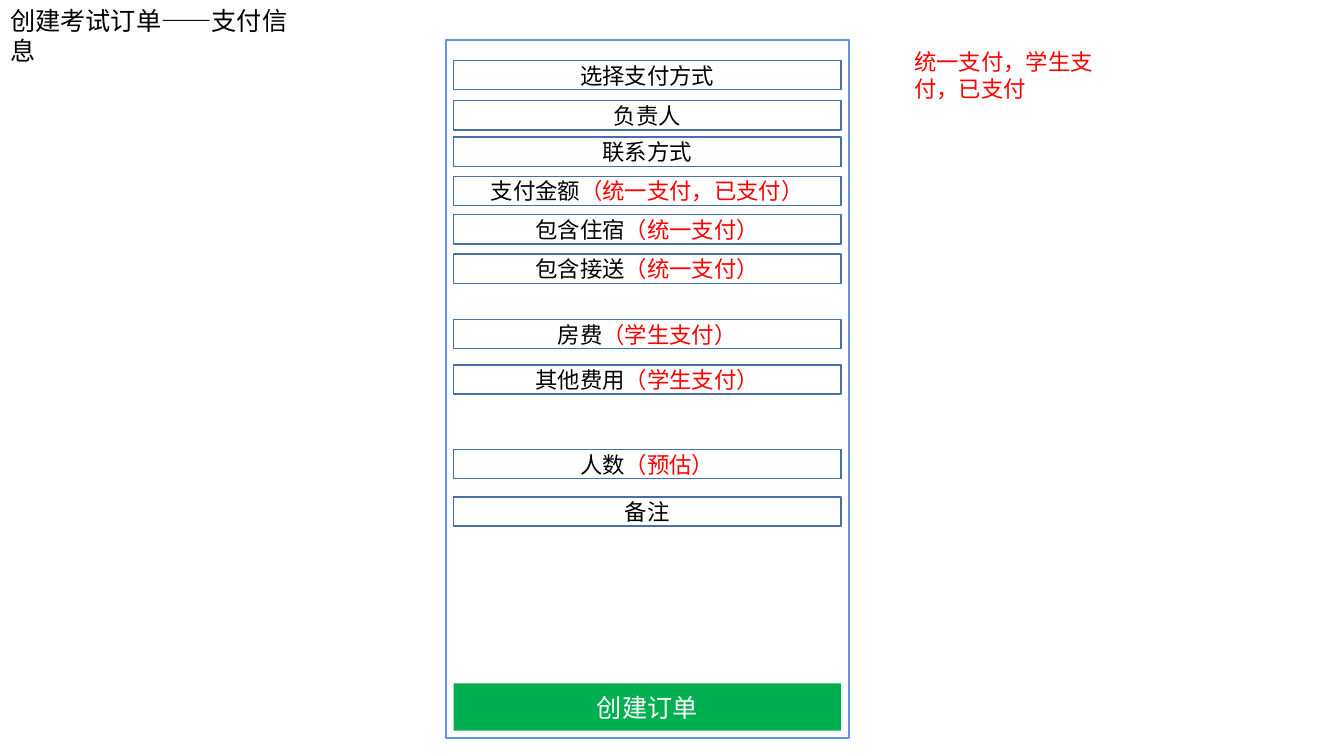
import pptx
import pptx.util
import pptx.dml.color
import pptx.enum.shapes
import pptx.enum.text

Inches = pptx.util.Inches
Pt = pptx.util.Pt
Anchor = pptx.enum.text.MSO_ANCHOR
Align = pptx.enum.text.PP_ALIGN

WIDTH, HEIGHT = 13.33, 7.5
FONT = "Arial"
BLACK, RED, WHITE, GREEN = "000000", "FF0000", "FFFFFF", "00B050"
PANEL_LINE, FIELD_LINE = "6096E6", "476FAA"

PANEL = (4.42, 0.4, 4, 6.92)
MARGIN = 0.08
FIELD_HEIGHT = 0.29
BUTTON_TOP, BUTTON_HEIGHT = 6.38, 0.47

# Distance below the panel's top, label, condition shown in red
FIELDS = [
    (0.2, "选择支付方式", ""),
    (0.6, "负责人", ""),
    (0.96, "联系方式", ""),
    (1.35, "支付金额", "（统一支付，已支付）"),
    (1.73, "包含住宿", "（统一支付）"),
    (2.12, "包含接送", "（统一支付）"),
    (2.77, "房费", "（学生支付）"),
    (3.22, "其他费用", "（学生支付）"),
    (4.06, "人数", "（预估）"),
    (4.53, "备注", ""),
]


def color(value):
    return pptx.dml.color.RGBColor.from_string(value)


def place(shape, box):
    shape.left, shape.top, shape.width, shape.height = map(Inches, box)


def write(shape, spans, size, align, anchor, wrap=True):
    """Fill one paragraph with (text, colour) spans."""
    frame = shape.text_frame
    frame.word_wrap = wrap
    frame.vertical_anchor = anchor
    para = frame.paragraphs[0]
    para.alignment = align
    for text, tint in spans:
        span = para.add_run()
        span.text = text
        span.font.name = FONT
        span.font.size = Pt(size)
        span.font.color.rgb = color(tint)


def add_rectangle(page, box, fill=None, line=None, weight=1):
    shape = page.shapes.add_shape(
        pptx.enum.shapes.MSO_SHAPE.RECTANGLE, *map(Inches, box))
    shape.shadow.inherit = False
    if fill:
        shape.fill.solid()
        shape.fill.fore_color.rgb = color(fill)
    else:
        shape.fill.background()
    if line:
        shape.line.color.rgb = color(line)
        shape.line.width = Pt(weight)
    else:
        shape.line.fill.background()
    return shape


def add_title(page, box):
    title = page.shapes.title
    place(title, box)
    write(title, [("创建考试订单——支付信息", BLACK)], 18, Align.LEFT, Anchor.TOP, wrap=False)
    title.text_frame.auto_size = pptx.enum.text.MSO_AUTO_SIZE.SHAPE_TO_FIT_TEXT
    title.text_frame.paragraphs[0].line_spacing = 1.0


def add_form(page, box):
    left, top, width, height = box
    add_rectangle(page, box, line=PANEL_LINE, weight=1.5)
    inner_left, inner_width = left + MARGIN, width - 2 * MARGIN
    for offset, label, condition in FIELDS:
        field = add_rectangle(
            page, (inner_left, top + offset, inner_width, FIELD_HEIGHT), line=FIELD_LINE)
        spans = [(label, BLACK)] + ([(condition, RED)] if condition else [])
        write(field, spans, 16, Align.CENTER, Anchor.MIDDLE)
    button = add_rectangle(
        page, (inner_left, top + BUTTON_TOP, inner_width, BUTTON_HEIGHT), fill=GREEN)
    write(button, [("创建订单", WHITE)], 18, Align.CENTER, Anchor.MIDDLE)


def add_note(page, box):
    note = page.shapes.add_textbox(*map(Inches, box))
    write(note, [("统一支付，学生支付，已支付", RED)], 16, Align.LEFT, Anchor.TOP)
    note.text_frame.auto_size = pptx.enum.text.MSO_AUTO_SIZE.SHAPE_TO_FIT_TEXT


def main():
    deck = pptx.Presentation()
    deck.slide_width, deck.slide_height = Inches(WIDTH), Inches(HEIGHT)
    page = deck.slides.add_slide(deck.slide_layouts.get_by_name("Title Only"))
    add_title(page, (0, 0, 3.2, 0.4))
    add_form(page, PANEL)
    add_note(page, (8.97, 0.43, 2.01, 0.64))
    deck.save("out.pptx")


if __name__ == "__main__":
    main()
